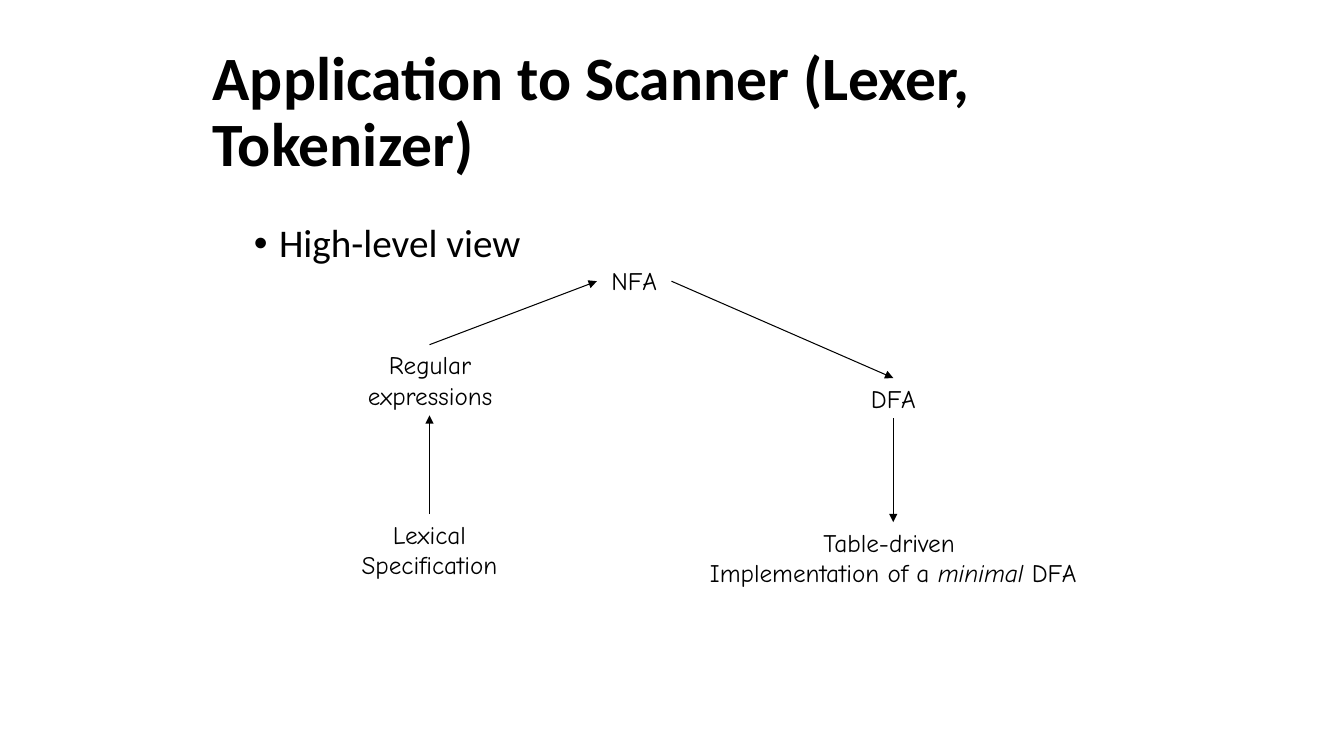
from dataclasses import dataclass

from lxml.etree import SubElement
from pptx import Presentation
from pptx.dml.color import RGBColor
from pptx.enum.shapes import MSO_CONNECTOR as Connector
from pptx.enum.text import MSO_ANCHOR as Anchor, MSO_AUTO_SIZE as AutoSize, PP_ALIGN as Align
from pptx.oxml.ns import qn
from pptx.util import Inches, Pt


@dataclass(frozen=True)
class Theme:
    ink: RGBColor = RGBColor(0, 0, 0)
    text_font: str = "Calibri"
    diagram_font: str = "Comic Neue"
    title_size: Pt = Pt(44)
    bullet_size: Pt = Pt(28)
    label_size: Pt = Pt(18)
    arrow_width: Pt = Pt(0.75)


theme = Theme()


def add_span(para, text, **font_format):
    span = para.add_run()
    span.text = text
    span.font.color.rgb = theme.ink
    for name, value in font_format.items():
        setattr(span.font, name, value)


def place(shape, *bounds):
    for name, value in zip(("left", "top", "width", "height"), bounds):
        setattr(shape, name, Inches(value))


deck = Presentation()
deck.slide_width, deck.slide_height = Inches(13.33), Inches(7.5)
page = deck.slides.add_slide(deck.slide_layouts[5])

# Title
title = page.shapes.title
place(title, 2.01, 0.4, 10.41, 1.45)
frame_format = {"word_wrap": True, "auto_size": AutoSize.NONE, "vertical_anchor": Anchor.MIDDLE}
for name, value in frame_format.items():
    setattr(title.text_frame, name, value)
para = title.text_frame.paragraphs[0]
para.alignment, para.line_spacing = Align.LEFT, 0.9
add_span(para, "Application to Scanner (Lexer, Tokenizer)",
         name=theme.text_font, size=theme.title_size, bold=True)

# Bullet
box = page.shapes.add_textbox(0, 0, 0, 0)
place(box, 2.42, 2.17, 8.5, 0.54)
box.text_frame.word_wrap = True
para = box.text_frame.paragraphs[0]
para.line_spacing, para.space_before = 0.9, Pt(10)
add_span(para, "High-level view", name=theme.text_font, size=theme.bullet_size)
props = para._p.get_or_add_pPr()
props.set("marL", str(Inches(0.25)))
props.set("indent", str(-Inches(0.25)))
SubElement(props, qn("a:buFont")).set("typeface", "Arial")
SubElement(props, qn("a:buChar")).set("char", "•")

# Stages: bounds, then lines made of (text, italic) pieces
stages = [
    ((3.47, 3.42, 1.59, 0.71), [[("Regular", False)], [("expressions", False)]]),
    ((5.92, 2.58, 0.74, 0.4), [[("NFA", False)]]),
    ((8.5, 3.75, 0.72, 0.4), [[("DFA", False)]]),
    ((3.38, 5.1, 1.76, 0.71), [[("Lexical", False)], [("Specification", False)]]),
    ((6.8, 5.18, 4.12, 0.71), [
        [("Table-driven ", False)],
        [("Implementation of a ", False), ("minimal", True), (" DFA", False)],
    ]),
]
for bounds, lines in stages:
    box = page.shapes.add_textbox(0, 0, 0, 0)
    place(box, *bounds)
    frame = box.text_frame
    frame.word_wrap, frame.auto_size = False, AutoSize.SHAPE_TO_FIT_TEXT
    for number, pieces in enumerate(lines):
        para = frame.add_paragraph() if number else frame.paragraphs[0]
        para.alignment = Align.CENTER
        for text, italic in pieces:
            add_span(para, text, name=theme.diagram_font, size=theme.label_size, italic=italic)

# Arrows from stage to stage
left_axis, right_axis, nfa_middle = 4.26, 8.86, 2.79
arrows = [
    (left_axis, 5.1, left_axis, 4.12),
    (left_axis, 3.42, 5.92, nfa_middle),
    (6.66, nfa_middle, right_axis, 3.75),
    (right_axis, 4.15, right_axis, 5.18),
]
for ends in arrows:
    arrow = page.shapes.add_connector(Connector.STRAIGHT, *map(Inches, ends))
    arrow.line.color.rgb = theme.ink
    arrow.line.width = theme.arrow_width
    SubElement(arrow.line._get_or_add_ln(), qn("a:tailEnd")).set("type", "triangle")
    SubElement(arrow._element.spPr, qn("a:effectLst"))

deck.save("out.pptx")
